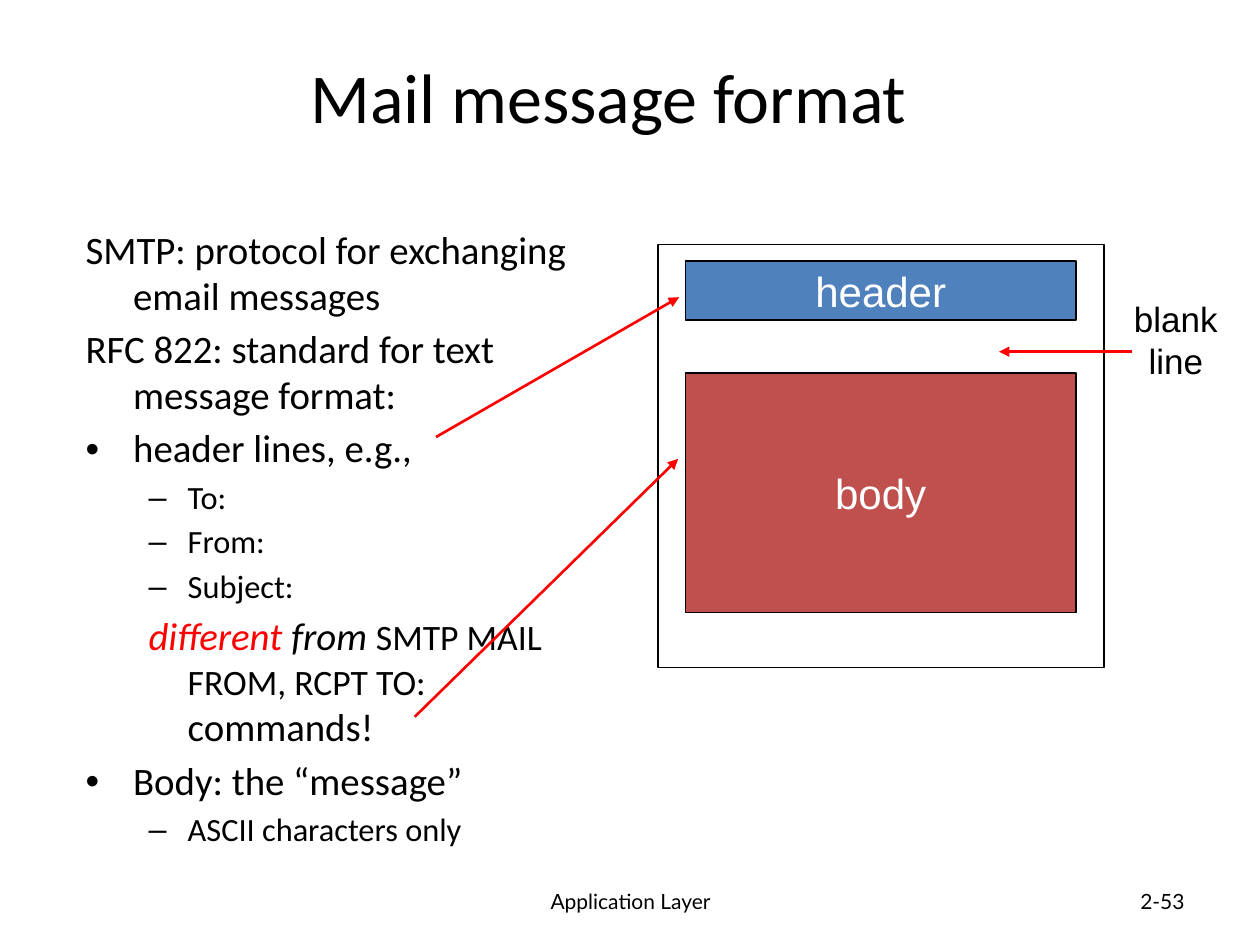
import pptx
import pptx.dml.color
import pptx.enum.shapes
import pptx.enum.text
import pptx.oxml
import pptx.oxml.ns
import pptx.util
from pptx.util import Cm

ALIGN = pptx.enum.text.PP_ALIGN
ANCHOR = pptx.enum.text.MSO_ANCHOR
FIT = pptx.enum.text.MSO_AUTO_SIZE
RECT = pptx.enum.shapes.MSO_SHAPE.RECTANGLE
STRAIGHT = pptx.enum.shapes.MSO_CONNECTOR.STRAIGHT
BLACK, WHITE, RED = "000000", "FFFFFF", "FF0000"


def rgb(value):
    return pptx.dml.color.RGBColor.from_string(value)


def style(font, name, size, color):
    font.name = name
    font.size = pptx.util.Pt(size)
    font.color.rgb = rgb(color)


prs = pptx.Presentation()
prs.slide_width, prs.slide_height = Cm(25.4), Cm(19.05)
slide = prs.slides.add_slide(prs.slide_layouts[1])
shapes = slide.shapes

# Footer and page number
for text, left, width, align in [("Application Layer", 8.69, 8.05, ALIGN.CENTER),
                                 ("2-53", 18.21, 5.92, ALIGN.RIGHT)]:
    footer = shapes.add_textbox(Cm(left), Cm(17.65), Cm(width), Cm(1.02))
    frame = footer.text_frame
    frame.word_wrap = True
    frame.vertical_anchor = ANCHOR.MIDDLE
    frame.text = text
    frame.paragraphs[0].alignment = align
    style(frame.paragraphs[0].runs[0].font, "Lato", 12, BLACK)

# Title
title = shapes.title
title.left, title.top, title.width, title.height = Cm(1.47), Cm(0.33), Cm(21.59), Cm(3.18)
title.text_frame.text = "Mail message format"
title.text_frame.vertical_anchor = ANCHOR.MIDDLE
title.text_frame.paragraphs[0].alignment = ALIGN.CENTER
style(title.text_frame.paragraphs[0].runs[0].font, "Calibri", 40, BLACK)

# Message format list: level, bullet, runs of (text, size, colour, italic)
MAIN, SUB = 22.2, 18.5
points = [
    (0, None, [("SMTP: protocol for exchanging email messages", MAIN, BLACK, False)]),
    (0, None, [("RFC 822: standard for text message format:", MAIN, BLACK, False)]),
    (0, "•", [("header lines, e.g.,", MAIN, BLACK, False)]),
    (1, "–", [("To:", SUB, BLACK, False)]),
    (1, "–", [("From:", SUB, BLACK, False)]),
    (1, "–", [("Subject:", SUB, BLACK, False)]),
    (1, None, [("different ", MAIN, RED, True), ("from ", MAIN, BLACK, True),
               ("SMTP MAIL FROM, RCPT TO:", 20.4, BLACK, False),
               (" commands!", MAIN, BLACK, False)]),
    (0, "•", [("Body: the “message”", MAIN, BLACK, False)]),
    (1, "–", [("ASCII characters only", SUB, BLACK, False)]),
]
indents = [(0.96, -0.96), (2.06, -0.79)]
notes = slide.placeholders[1]
notes.left, notes.top, notes.width, notes.height = Cm(1.47), Cm(4.47), Cm(10.92), Cm(12.9)
frame = notes.text_frame
frame.word_wrap = True
frame.auto_size = FIT.NONE
for index, (level, bullet, runs) in enumerate(points):
    point = frame.paragraphs[0] if index == 0 else frame.add_paragraph()
    point.level = level
    properties = point._p.get_or_add_pPr()
    margin, indent = indents[level]
    properties.set("marL", str(Cm(margin)))
    properties.set("indent", str(Cm(indent)))
    mark = pptx.oxml.ns.qn("a:buChar" if bullet else "a:buNone")
    mark = properties.makeelement(mark, {"char": bullet} if bullet else {})
    properties.append(mark)
    point.line_spacing = 0.98
    point.space_before = pptx.util.Pt(0.2 * runs[0][1] if index else 0)
    for text, size, color, italic in runs:
        run = point.add_run()
        run.text = text
        style(run.font, "Calibri", size, color)
        run.font.italic = italic

# Message parts and the frame around them
for text, left, top, width, height, fill, line in [
        ("header", 13.82, 5.26, 7.87, 1.19, "4F81BD", 0.75),
        ("body", 13.82, 7.52, 7.87, 4.83, "C0504D", 0.75),
        (None, 13.26, 4.93, 8.99, 8.53, None, 1)]:
    part = shapes.add_shape(RECT, Cm(left), Cm(top), Cm(width), Cm(height))
    part.shadow.inherit = False
    part.line.color.rgb = rgb(BLACK)
    part.line.width = pptx.util.Pt(line)
    if fill:
        part.fill.solid()
        part.fill.fore_color.rgb = rgb(fill)
    else:
        part.fill.background()
    if text:
        frame = part.text_frame
        frame.word_wrap = False
        frame.vertical_anchor = ANCHOR.MIDDLE
        frame.text = text
        frame.paragraphs[0].alignment = ALIGN.CENTER
        style(frame.paragraphs[0].runs[0].font, "Arial", 24, WHITE)

# Blank line label
label = shapes.add_textbox(Cm(22.6), Cm(5.87), Cm(2.21), Cm(1.96))
label.text_frame.word_wrap = False
label.text_frame.auto_size = FIT.SHAPE_TO_FIT_TEXT
label.text_frame.text = "blank\nline"
for paragraph in label.text_frame.paragraphs:
    paragraph.alignment = ALIGN.CENTER
    style(paragraph.runs[0].font, "Arial", 20, BLACK)

# Arrows to the header, the body and the blank line
for ends in [(8.79, 8.81, 13.69, 5.99), (8.36, 14.45, 13.67, 9.25), (22.83, 7.09, 20.14, 7.09)]:
    arrow = shapes.add_connector(STRAIGHT, *[Cm(end) for end in ends])
    arrow.line.color.rgb = rgb(RED)
    arrow.line.width = pptx.util.Pt(1.5)
    outline = arrow.line._get_or_add_ln()
    outline.append(outline.makeelement(pptx.oxml.ns.qn("a:tailEnd"), {"type": "triangle"}))
    arrow_properties = arrow._element.spPr
    arrow_properties.append(arrow_properties.makeelement(pptx.oxml.ns.qn("a:effectLst"), {}))

prs.save("out.pptx")
